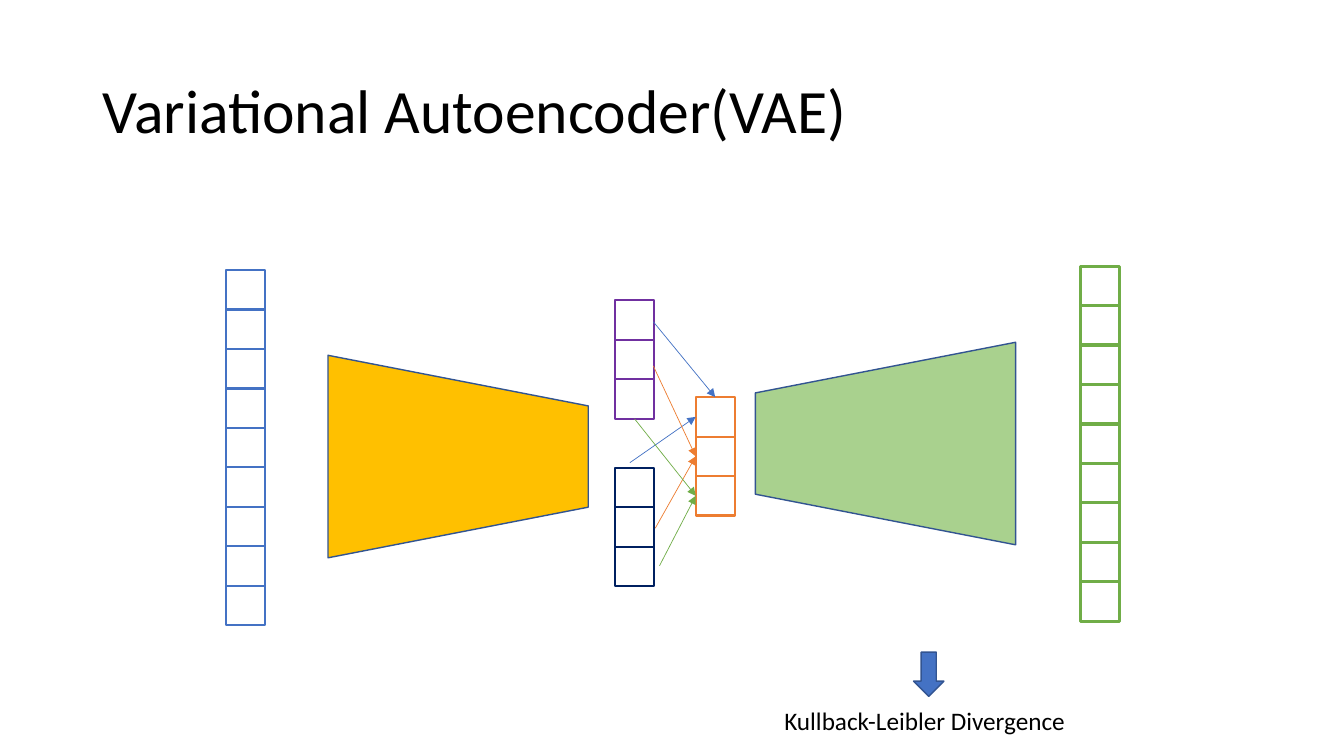
from lxml import etree
from pptx import Presentation
from pptx import util as u
from pptx.dml.color import RGBColor
from pptx.enum import shapes, text
from pptx.oxml.ns import qn

COLS, ROWS = 34.5, 19.15  # one grid square is one vector cell
TOP, LEFT, BOTTOM = 0, 1, 2  # connection sites of a rectangle
BLUE, ORANGE, GREEN = "4472C4", "ED7D31", "70AD47"
OUTLINE, WHITE, BLACK = "325491", "FFFFFF", "000000"


def rgb(value):
    return RGBColor.from_string(value)


class Diagram:
    """Holds the style and the current page; places are in grid columns and rows."""

    font = "Calibri"

    def __init__(self, deck):
        self.column = deck.slide_width / COLS
        self.row = deck.slide_height / ROWS
        self.page = deck.slides.add_slide(deck.slide_layouts[6])

    def place(self, *lengths):
        steps = (self.column, self.row) * 2
        return [round(length * step) for length, step in zip(lengths, steps)]

    def label(self, words, frame, size, wrap=True, anchor=text.MSO_ANCHOR.TOP, spacing=1.0):
        box = self.page.shapes.add_textbox(*self.place(*frame))
        body = box.text_frame
        body.text = words
        body.auto_size = text.MSO_AUTO_SIZE.NONE if wrap else text.MSO_AUTO_SIZE.SHAPE_TO_FIT_TEXT
        body.word_wrap = wrap
        body.vertical_anchor = anchor
        para = body.paragraphs[0]
        para.line_spacing = spacing
        para.font.name, para.font.size = self.font, u.Pt(size)
        para.font.color.rgb = rgb(BLACK)

    def shape(self, kind, frame, fill, line=OUTLINE, width=1, turn=0):
        box = self.page.shapes.add_shape(kind, *self.place(*frame))
        box.shadow.inherit = False
        box.fill.solid()
        box.fill.fore_color.rgb = rgb(fill)
        box.line.color.rgb = rgb(line)
        box.line.width = u.Pt(width)
        box.rotation = turn
        return box

    def vector(self, column, row, count, color, width=1.5):
        return [
            self.shape(shapes.MSO_SHAPE.RECTANGLE, (column, row + step, 1, 1), WHITE, color, width)
            for step in range(count)
        ]

    def arrow(self, start, target, site, color):
        """Draw from a grid point, or from a (cell, site) pair, to a side of the target cell."""
        joined = not isinstance(start[0], (int, float))
        begin = (0, 0) if joined else self.place(*start)
        line = self.page.shapes.add_connector(shapes.MSO_CONNECTOR.STRAIGHT, *begin, 0, 0)
        if joined:
            line.begin_connect(*start)
        line.end_connect(target, site)
        line.line.color.rgb = rgb(color)
        line.line.width = u.Pt(0.5)
        etree.SubElement(line.line._get_or_add_ln(), qn("a:tailEnd"), type="triangle")
        etree.SubElement(line._element.spPr, qn("a:effectLst"))


def main():
    deck = Presentation()
    deck.slide_width, deck.slide_height = u.Inches(13.33), u.Inches(7.5)
    diagram = Diagram(deck)

    # Title
    diagram.label("Variational Autoencoder(VAE)", (2.38, 1.02, 29.76, 3.7), 44,
                  anchor=text.MSO_ANCHOR.MIDDLE, spacing=0.9)

    # Divergence note
    diagram.shape(shapes.MSO_SHAPE.DOWN_ARROW, (23.45, 16.52, 0.78, 1.12), BLUE)
    diagram.label("Kullback-Leibler Divergence", (19.88, 17.75, 7.97, 1.02), 18, wrap=False)

    # Encoder and decoder
    diagram.shape(shapes.MSO_SHAPE.TRAPEZOID, (9.16, 8.27, 5.2, 6.59), "FFC000", turn=90)
    diagram.shape(shapes.MSO_SHAPE.TRAPEZOID, (20.13, 7.94, 5.2, 6.59), "A9D18E", turn=270)

    # Input, latent and output vectors
    diagram.vector(5.8, 6.84, 9, BLUE)
    mean = diagram.vector(15.79, 7.61, 3, "7030A0")
    diagram.vector(15.79, 11.85, 3, "002060")
    code = diagram.vector(17.86, 10.06, 3, ORANGE)
    diagram.vector(27.74, 6.74, 9, GREEN, 2.25)

    # Arrows into the sampled code
    for start, target, site, color in (
        ((16.77, 8.15), code[0], TOP, BLUE),
        ((16.17, 11.72), code[0], LEFT, BLUE),
        ((16.82, 13.38), code[1], LEFT, ORANGE),
        ((16.93, 14.33), code[2], LEFT, GREEN),
        ((16.77, 9.27), code[1], LEFT, ORANGE),
        ((mean[2], BOTTOM), code[2], LEFT, GREEN),
    ):
        diagram.arrow(start, target, site, color)

    deck.save("out.pptx")


if __name__ == "__main__":
    main()
